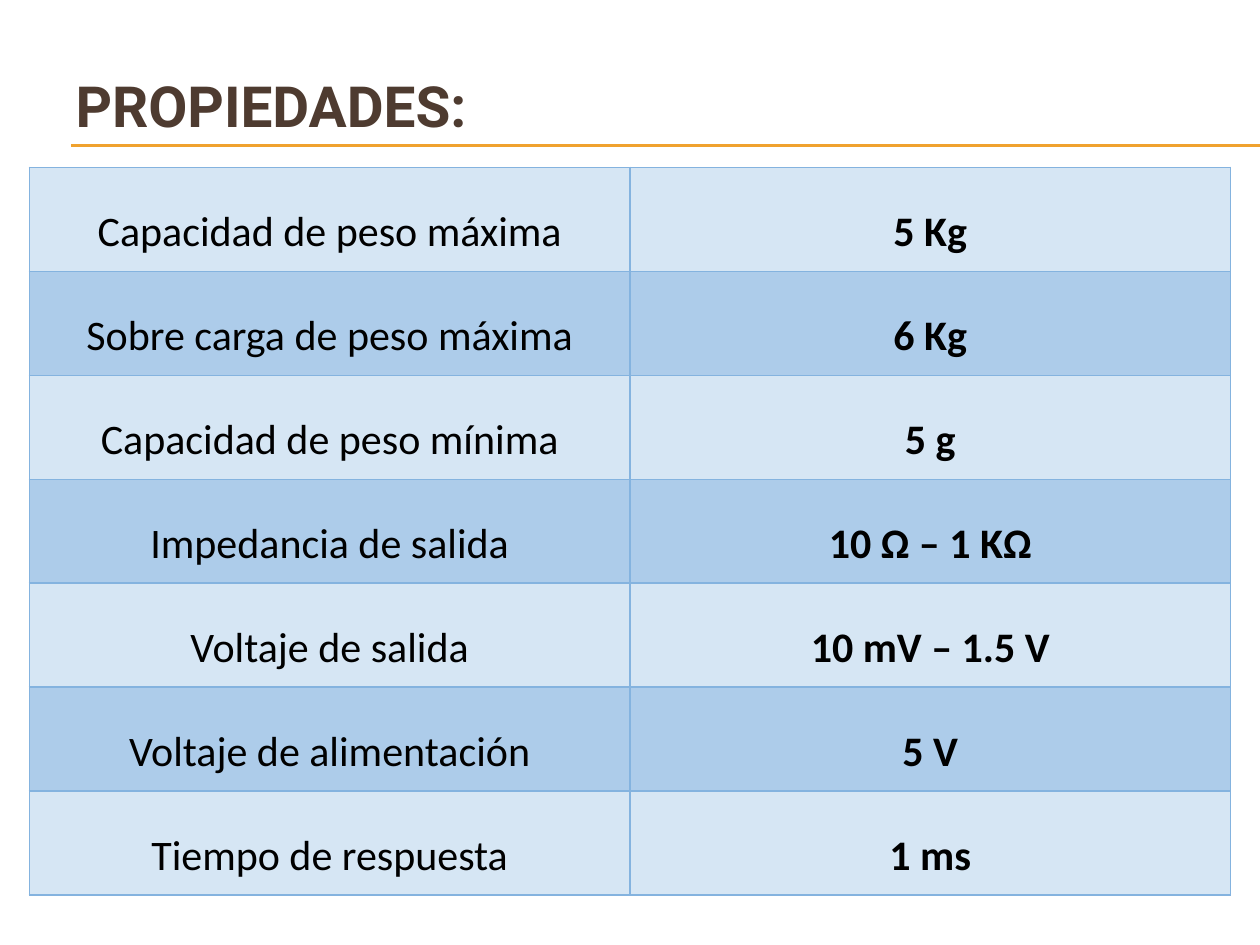
import pptx
import pptx.dml.color
import pptx.enum.shapes
import pptx.enum.text
import pptx.oxml
import pptx.oxml.ns
import pptx.util

Pt = pptx.util.Pt
RGBColor = pptx.dml.color.RGBColor

BROWN = RGBColor(0x4E, 0x3B, 0x30)
AMBER = RGBColor(0xF0, 0xA2, 0x2E)
BLACK = RGBColor(0x00, 0x00, 0x00)
BORDER_BLUE = RGBColor(0x84, 0xB3, 0xDF)
BAND_FILLS = (RGBColor(0xD6, 0xE6, 0xF4), RGBColor(0xAD, 0xCC, 0xEA))

PROPERTIES = [
    ("Capacidad de peso máxima", "5 Kg"),
    ("Sobre carga de peso máxima", "6 Kg"),
    ("Capacidad de peso mínima", "5 g"),
    ("Impedancia de salida", "10 Ω – 1 KΩ"),
    ("Voltaje de salida", "10 mV – 1.5 V"),
    ("Voltaje de alimentación", "5 V"),
    ("Tiempo de respuesta", "1 ms"),
]
COLUMN_WIDTH = 343.2
ROW_HEIGHT = 59.43


def add_borders(cell):
    # Borders must come before the fill in the cell properties.
    properties = cell._tc.get_or_add_tcPr()
    for position, side in enumerate(("lnL", "lnR", "lnT", "lnB")):
        properties.insert(position, pptx.oxml.parse_xml(
            f'<a:{side} {pptx.oxml.ns.nsdecls("a")} w="{Pt(1)}">'
            f'<a:solidFill><a:srgbClr val="{BORDER_BLUE}"/></a:solidFill></a:{side}>'))


deck = pptx.Presentation()
deck.slide_width, deck.slide_height = Pt(720), Pt(540)
page = deck.slides.add_slide(deck.slide_layouts[5])

# Double rule under the title
for rule_y in (82.8, 83.5):
    rule = page.shapes.add_connector(
        pptx.enum.shapes.MSO_CONNECTOR.STRAIGHT, Pt(40.5), Pt(rule_y), Pt(720), Pt(rule_y))
    rule.line.color.rgb = AMBER
    rule.line.width = Pt(0.75)
    rule._element.spPr.append(pptx.oxml.parse_xml(f'<a:effectLst {pptx.oxml.ns.nsdecls("a")}/>'))

# Properties table
table = page.shapes.add_table(
    len(PROPERTIES), 2, Pt(16.8), Pt(95.6),
    Pt(2 * COLUMN_WIDTH), Pt(len(PROPERTIES) * ROW_HEIGHT)).table
table.first_row = False
for column in table.columns:
    column.width = Pt(COLUMN_WIDTH)
for row_index, values in enumerate(PROPERTIES):
    table.rows[row_index].height = Pt(ROW_HEIGHT)
    for column_index, value in enumerate(values):
        cell = table.cell(row_index, column_index)
        cell.fill.solid()
        cell.fill.fore_color.rgb = BAND_FILLS[row_index % 2]
        cell.margin_left = cell.margin_right = Pt(5)
        cell.margin_top = cell.margin_bottom = 0
        cell.vertical_anchor = pptx.enum.text.MSO_ANCHOR.MIDDLE
        add_borders(cell)
        para = cell.text_frame.paragraphs[0]
        para.text = value
        para.alignment = pptx.enum.text.PP_ALIGN.CENTER
        para.line_spacing = 1.5
        font = para.runs[0].font
        font.name, font.size, font.bold = "Calibri", Pt(24), column_index == 1
        font.color.rgb = BLACK

# Title, raised above the rule by a deep bottom margin
title = page.shapes.title
title.left, title.top, title.width, title.height = Pt(36), Pt(33.8), Pt(648), Pt(90)
frame = title.text_frame
frame.text = "PROPIEDADES:"
frame.vertical_anchor = pptx.enum.text.MSO_ANCHOR.MIDDLE
frame.auto_size = pptx.enum.text.MSO_AUTO_SIZE.NONE
frame.margin_bottom = Pt(41)
para = frame.paragraphs[0]
para.alignment = pptx.enum.text.PP_ALIGN.LEFT
font = para.runs[0].font
font.name, font.size, font.bold = "Roboto", Pt(32.4), True
font.color.rgb = BROWN

deck.save("out.pptx")
